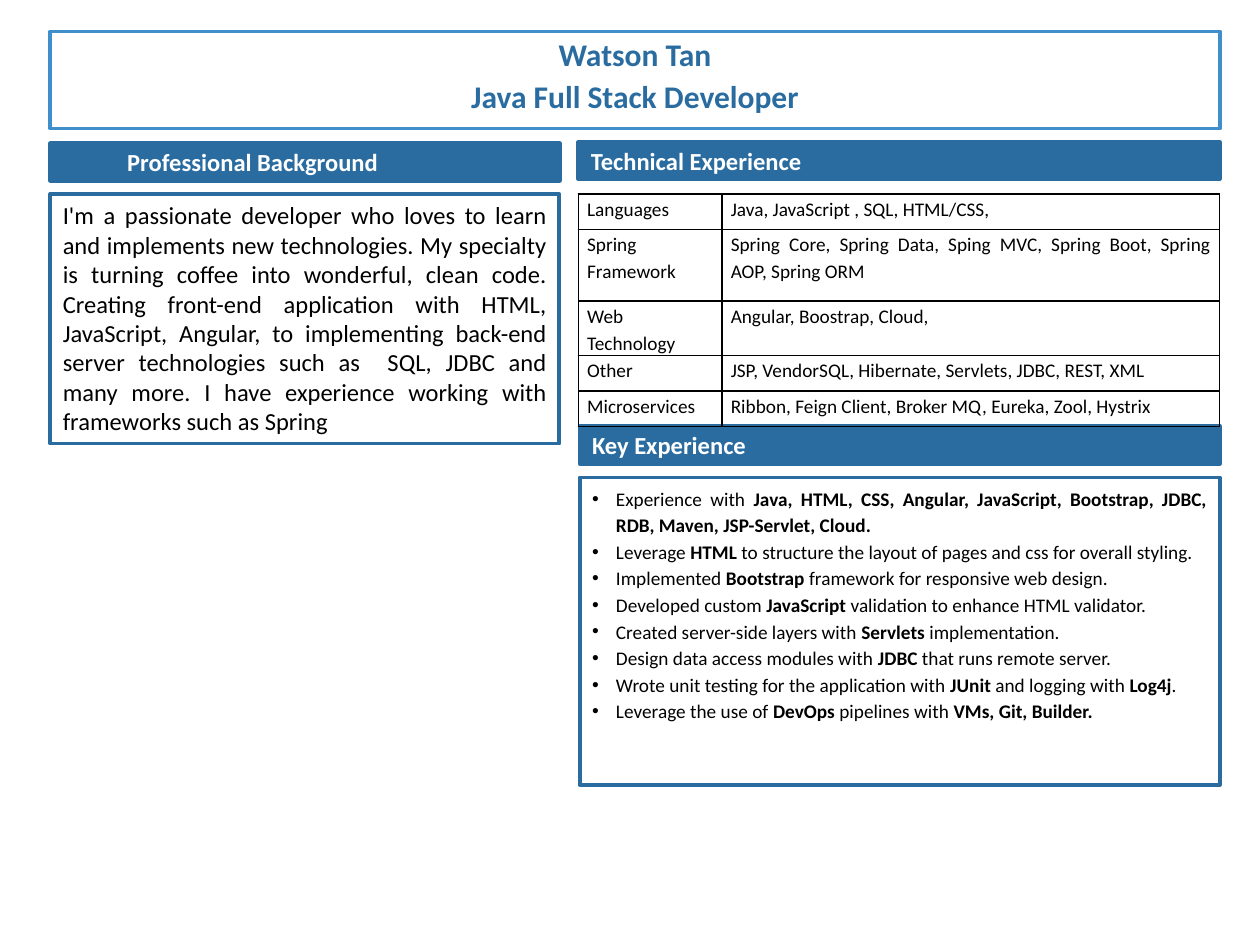
from lxml.etree import SubElement
from pptx import Presentation
from pptx.dml.color import RGBColor
from pptx.enum.shapes import MSO_SHAPE as Shape
from pptx.enum.text import MSO_ANCHOR as Anchor, MSO_AUTO_SIZE as AutoSize, PP_ALIGN as Align
from pptx.oxml.ns import qn
from pptx.util import Inches, Pt

BLUE = RGBColor(0x2A, 0x6C, 0xA0)
LIGHT_BLUE = RGBColor(0x40, 0x8F, 0xCD)
WHITE = RGBColor(0xFF, 0xFF, 0xFF)
BLACK = RGBColor(0, 0, 0)

# Edges of the two columns
LEFT, LEFT_WIDTH = 0.4, 4.04
RIGHT, RIGHT_WIDTH = 4.6, 5.08

PROFILE = (
    "I'm a passionate developer who loves to learn and implements new technologies. "
    "My specialty is turning coffee into wonderful, clean code. Creating front-end "
    "application with HTML, JavaScript, Angular, to implementing back-end server "
    "technologies such as  SQL, JDBC and many more. I have experience working with "
    "frameworks such as Spring"
)

SKILLS = [
    ("Languages", "Java, JavaScript , SQL, HTML/CSS, "),
    ("Spring Framework",
     "Spring Core, Spring Data, Sping MVC, Spring Boot, Spring AOP, Spring ORM"),
    ("Web Technology", "Angular, Boostrap, Cloud,"),
    ("Other", "JSP, VendorSQL, Hibernate, Servlets, JDBC, REST, XML"),
    ("Microservices", "Ribbon, Feign Client, Broker MQ, Eureka, Zool, Hystrix "),
]
ROW_HEIGHTS = [0.28, 0.57, 0.28, 0.28, 0.28]

# Runs of each bullet alternate between regular and bold
EXPERIENCE = [
    ("Experience with", " Java, HTML, CSS, Angular, JavaScript, Bootstrap, JDBC, "
     "RDB, Maven, JSP-Servlet, Cloud."),
    ("Leverage", " HTML", " to structure the layout of pages and css for overall styling."),
    ("Implemented ", "Bootstrap", " framework for responsive web design."),
    ("Developed custom ", "JavaScript", " validation to enhance HTML validator."),
    ("Created server-side layers with ", "Servlets", " implementation."),
    ("Design data access modules with ", "JDBC", " that runs remote server."),
    ("Wrote unit testing for the application with ", "JUnit", " and logging with ",
     "Log4j", "."),
    ("Leverage the use of ", "DevOps ", "pipelines with", " VMs, Git, Builder."),
]


def add_run(para, text, size, color=BLACK, bold=False):
    run = para.add_run()
    run.text = text
    font = run.font
    font.name, font.size, font.bold = "Calibri", Pt(size), bold
    font.color.rgb = color


def add_box(page, left, top, width, height, fill=None, line_width=2.25):
    box = page.shapes.add_shape(
        Shape.RECTANGLE, Inches(left), Inches(top), Inches(width), Inches(height))
    box.shadow.inherit = False
    if fill is None:
        box.fill.background()
    else:
        box.fill.solid()
        box.fill.fore_color.rgb = fill
    box.line.color.rgb = BLUE
    box.line.width = Pt(line_width)
    frame = box.text_frame
    frame.word_wrap = True
    frame.vertical_anchor = Anchor.TOP if fill is None else Anchor.MIDDLE
    return frame


def add_heading(page, text, left, top, width, height, indent=0, line_width=2.25):
    frame = add_box(page, left, top, width, height, BLUE, line_width)
    frame.margin_left = Inches(0.1 + indent)
    para = frame.paragraphs[0]
    para.alignment = Align.LEFT
    add_run(para, text, 14, WHITE, True)


def set_title(page, lines):
    title = page.shapes.title
    title.left, title.top = Inches(LEFT), Inches(0.25)
    title.width, title.height = Inches(9.28), Inches(0.77)
    title.line.color.rgb = LIGHT_BLUE
    title.line.width = Pt(2.25)
    frame = title.text_frame
    frame.auto_size = AutoSize.NONE
    frame.vertical_anchor = Anchor.TOP
    for index, text in enumerate(lines):
        para = frame.add_paragraph() if index else frame.paragraphs[0]
        para.alignment = Align.CENTER
        para.line_spacing = 0.95
        para.space_before = Pt(3.6)
        add_run(para, text, 18, BLUE, True)


def set_borders(cell):
    props = cell._tc.get_or_add_tcPr()
    for position, side in enumerate(("a:lnL", "a:lnR", "a:lnT", "a:lnB")):
        line = props.makeelement(qn(side), {"w": str(Pt(1))})
        fill = SubElement(line, qn("a:solidFill"))
        SubElement(fill, qn("a:srgbClr"), val=str(BLACK))
        props.insert(position, line)


def add_skills(page):
    holder = page.shapes.add_table(
        len(SKILLS), 2, Inches(4.59), Inches(1.54), Inches(5.09), Inches(1.84))
    table = holder.table
    table.first_row = table.horz_banding = False
    for column, width in zip(table.columns, (1.14, 3.95)):
        column.width = Inches(width)
    for row, height, texts in zip(table.rows, ROW_HEIGHTS, SKILLS):
        row.height = Inches(height)
        for cell, text in zip(row.cells, texts):
            cell.fill.background()
            set_borders(cell)
            cell.margin_left = cell.margin_right = Inches(0.07)
            cell.margin_top = cell.margin_bottom = 0
            para = cell.text_frame.paragraphs[0]
            para.alignment = Align.JUSTIFY
            para.line_spacing = 1.15
            para.space_after = Pt(5)
            add_run(para, text, 11)
    holder.height = Inches(1.84)


def add_bullets(frame, items):
    for index, texts in enumerate(items):
        para = frame.add_paragraph() if index else frame.paragraphs[0]
        para.alignment = Align.JUSTIFY
        para.line_spacing = 1.15
        para.space_before = Pt(0 if index else 12)
        props = para._p.get_or_add_pPr()
        props.set("marL", str(Inches(0.19)))
        props.set("indent", str(-Inches(0.19)))
        SubElement(props, qn("a:buFont"), typeface="Arial")
        SubElement(props, qn("a:buChar"), char="•")
        for position, text in enumerate(texts):
            add_run(para, text, 11, bold=position % 2 == 1)


def main():
    deck = Presentation()
    deck.slide_width, deck.slide_height = Inches(10), Inches(7.5)
    page = deck.slides.add_slide(deck.slide_layouts[5])
    set_title(page, ["Watson Tan", "Java Full Stack Developer"])

    # Left column: profile
    add_heading(page, "Professional Background", LEFT, 1.14, LEFT_WIDTH, 0.29,
                indent=0.51, line_width=3)
    profile = add_box(page, LEFT, 1.54, LEFT_WIDTH, 1.98).paragraphs[0]
    profile.alignment = Align.JUSTIFY
    add_run(profile, PROFILE, 14)

    # Right column: skills table and experience list
    add_heading(page, "Key Experience", RIGHT, 3.38, RIGHT_WIDTH, 0.3)
    add_heading(page, "Technical Experience", 4.59, 1.13, 5.09, 0.29)
    add_skills(page)
    add_bullets(add_box(page, RIGHT, 3.79, RIGHT_WIDTH, 2.44), EXPERIENCE)

    deck.save("out.pptx")


if __name__ == "__main__":
    main()
